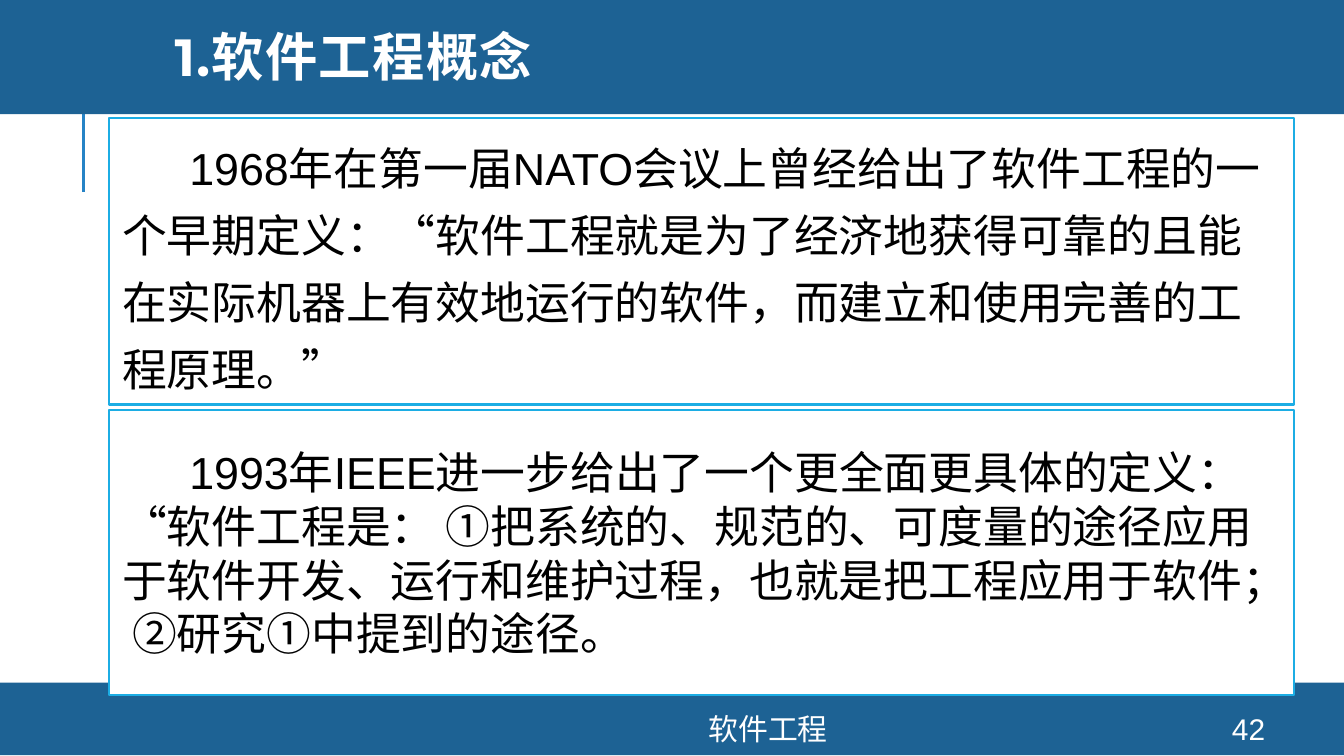
from dataclasses import dataclass

from lxml import etree
from pptx import Presentation
from pptx import util as u
from pptx.dml.color import RGBColor
from pptx.enum import lang, shapes, text
from pptx.oxml.ns import qn

SLIDE_WIDTH = u.Inches(10)
SLIDE_HEIGHT = SLIDE_WIDTH * 9 // 16

COLOURS = {
    "band": "1D6294",
    "rule": "2683C6",
    "border": "1CADE4",
    "light": "FFFFFF",
    "dark": "000000",
}


@dataclass
class Box:
    left: float
    top: float
    width: float
    height: float
    fill: str | None = None
    border: str | None = None


@dataclass
class Wording:
    content: str
    size: int
    colour: str
    font: str = "Arial"
    bold: bool = False
    align: text.PP_ALIGN = text.PP_ALIGN.LEFT
    line_spacing: float = 1.0
    indent: float = 0
    tracking: float = 0


BANDS = [Box(0, 5.08, 10, 0.54, "band"), Box(0, -0.03, 10, 0.88, "band")]

LABELS = [
    (Box(1.2, 0, 8.49, 0.91),
     Wording("1.软件工程概念", 28, "light", "Montserrat", bold=True,
             line_spacing=0.8, tracking=0.8)),
    (Box(2.61, 5.31, 6.21, 0.23),
     Wording("软件工程", 16, "light", align=text.PP_ALIGN.CENTER)),
    (Box(8.89, 5.31, 0.8, 0.23),
     Wording("42", 16, "light", align=text.PP_ALIGN.CENTER)),
]

DEFINITIONS = [
    (Box(0.81, 0.88, 8.82, 2.13, "light", "border"),
     Wording("1968年在第一届NATO会议上曾经给出了软件工程的一个早期定义："
             "“软件工程就是为了经济地获得可靠的且能在实际机器上有效地运行的软件，"
             "而建立和使用完善的工程原理。”",
             24, "dark", line_spacing=1.25, indent=0.5)),
    (Box(0.81, 3.05, 8.82, 2.12, "light", "border"),
     Wording("1993年IEEE进一步给出了一个更全面更具体的定义："
             "“软件工程是： ①把系统的、规范的、可度量的途径应用于软件开发、"
             "运行和维护过程，也就是把工程应用于软件； ②研究①中提到的途径。",
             24, "dark", indent=0.5)),
]


def colour(name: str) -> RGBColor:
    return RGBColor.from_string(COLOURS[name])


def set_attributes(target, values: dict) -> None:
    for name, value in values.items():
        setattr(target, name, value)


def position(box: Box) -> list[u.Length]:
    return [u.Inches(n) for n in (box.left, box.top, box.width, box.height)]


def add_rectangle(slide, box: Box):
    shape = slide.shapes.add_shape(shapes.MSO_SHAPE.RECTANGLE, *position(box))
    shape.shadow.inherit = False
    shape.fill.solid()
    shape.fill.fore_color.rgb = colour(box.fill)
    if box.border:
        shape.line.color.rgb = colour(box.border)
        shape.line.width = u.Pt(1.25)
    else:
        shape.line.fill.background()
    return shape


def add_rule(slide, x: float, top: float, bottom: float) -> None:
    rule = slide.shapes.add_connector(
        shapes.MSO_CONNECTOR.STRAIGHT,
        u.Inches(x), u.Inches(bottom), u.Inches(x), u.Inches(top))
    rule.line.color.rgb = colour("rule")
    rule.line.width = u.Pt(1.5)
    etree.SubElement(rule._element.spPr, qn("a:effectLst"))


def write(shape, wording: Wording) -> None:
    frame = shape.text_frame
    set_attributes(frame, {
        "word_wrap": True,
        "vertical_anchor": text.MSO_ANCHOR.MIDDLE,
    })
    paragraph = frame.paragraphs[0]
    set_attributes(paragraph, {
        "alignment": wording.align,
        "line_spacing": wording.line_spacing,
    })
    if wording.indent:
        properties = paragraph._p.get_or_add_pPr()
        properties.set("marL", "0")
        properties.set("indent", str(u.Inches(wording.indent)))
    run = paragraph.add_run()
    run.text = wording.content
    set_attributes(run.font, {
        "name": wording.font,
        "size": u.Pt(wording.size),
        "bold": wording.bold,
        "language_id": lang.MSO_LANGUAGE_ID.SIMPLIFIED_CHINESE,
    })
    run.font.color.rgb = colour(wording.colour)
    if wording.tracking:
        run._r.get_or_add_rPr().set("spc", str(round(wording.tracking * 100)))


def main() -> None:
    presentation = Presentation()
    set_attributes(presentation, {
        "slide_width": SLIDE_WIDTH,
        "slide_height": SLIDE_HEIGHT,
    })
    slide = presentation.slides.add_slide(presentation.slide_layouts[6])

    add_rule(slide, 0.62, 0.68, 1.43)
    for band in BANDS:
        add_rectangle(slide, band)
    for box, wording in LABELS:
        write(slide.shapes.add_textbox(*position(box)), wording)
    for box, wording in DEFINITIONS:
        write(add_rectangle(slide, box), wording)

    presentation.save("out.pptx")


if __name__ == "__main__":
    main()
